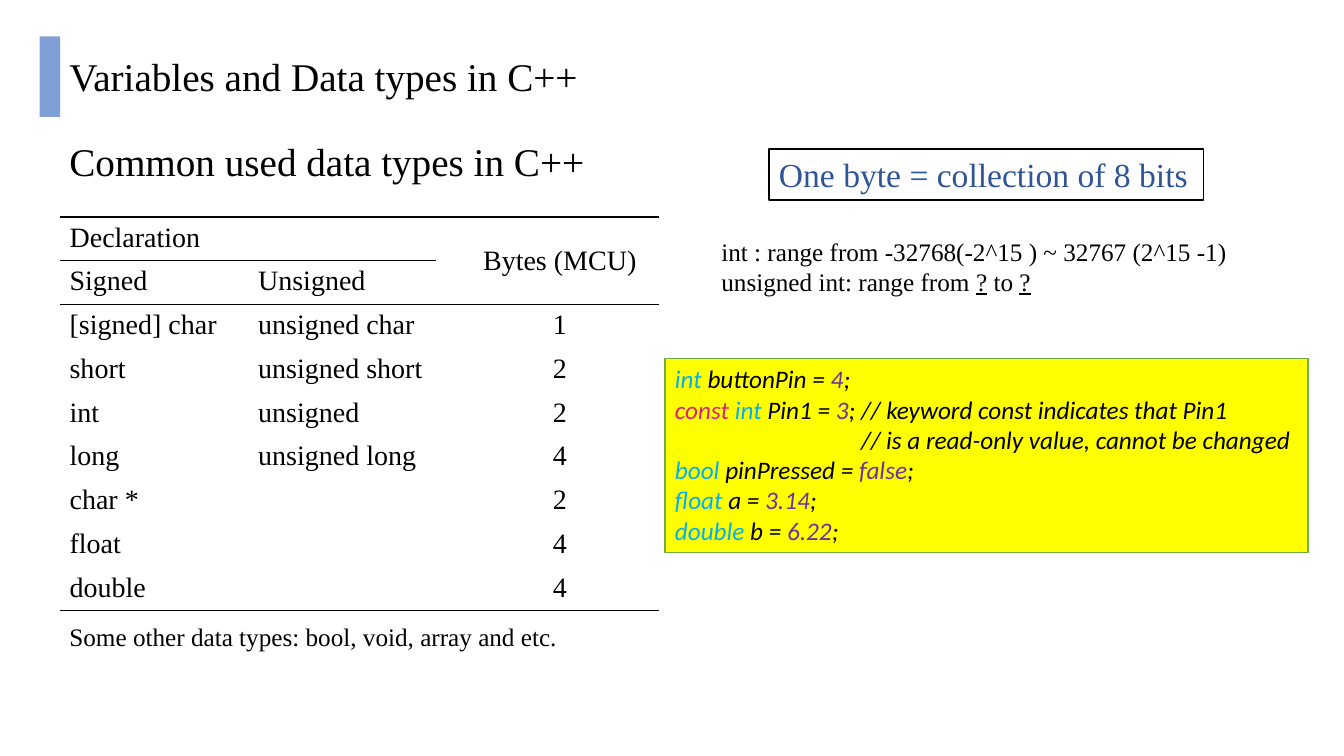
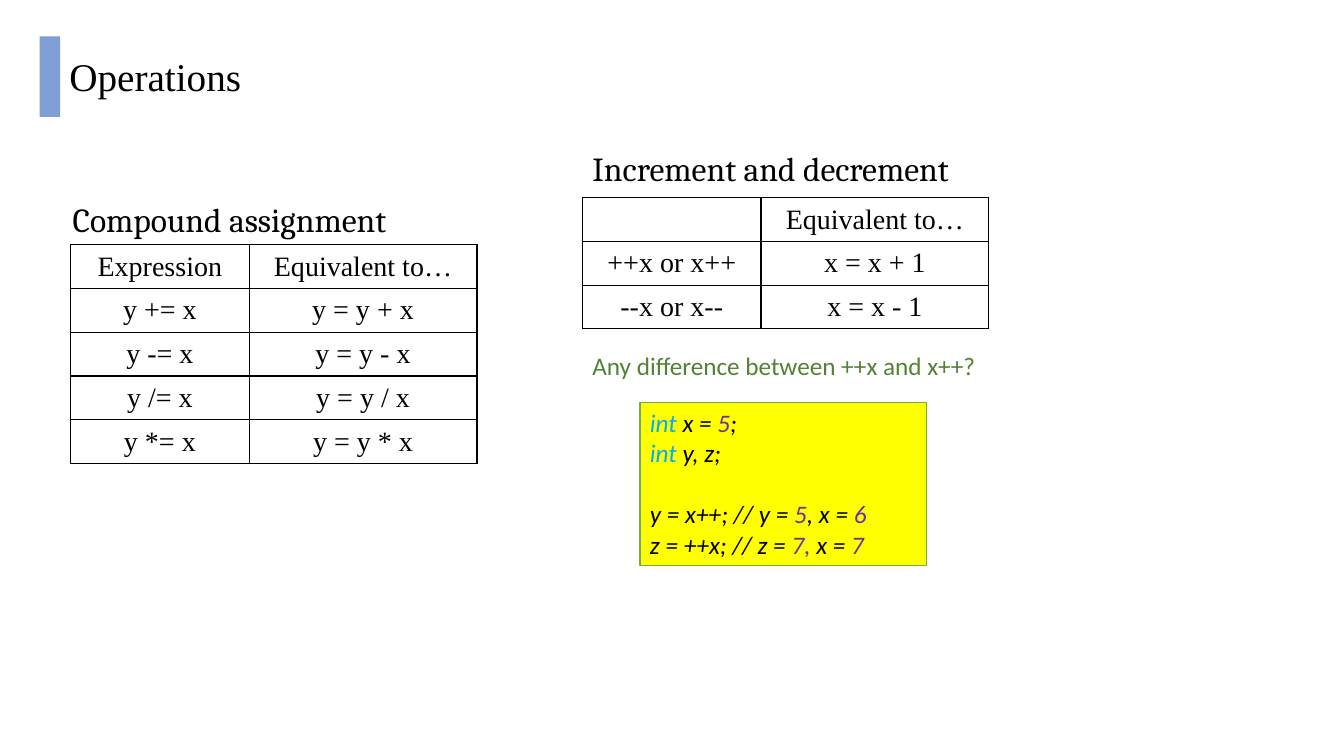
from lxml import etree
from pptx import Presentation
from pptx.dml.color import RGBColor
from pptx.enum.shapes import MSO_SHAPE
from pptx.enum.text import MSO_ANCHOR, PP_ALIGN
from pptx.oxml.ns import qn
from pptx.util import Cm, Pt

RECTANGLE = MSO_SHAPE.RECTANGLE
TOP, MIDDLE = MSO_ANCHOR.TOP, MSO_ANCHOR.MIDDLE
LEFT, CENTER = PP_ALIGN.LEFT, PP_ALIGN.CENTER

# Colours
BLACK = RGBColor(0x00, 0x00, 0x00)
WHITE = RGBColor(0xFF, 0xFF, 0xFF)
BAR_BLUE = RGBColor(0x44, 0x72, 0xC4)
NOTE_BLUE = RGBColor(0x2F, 0x55, 0x97)
QUESTION_GREEN = RGBColor(0x54, 0x82, 0x35)
CODE_YELLOW = RGBColor(0xFF, 0xFF, 0x00)
CODE_BORDER = RGBColor(0x70, 0xAD, 0x47)
TYPE = RGBColor(0x00, 0xB0, 0xF0)
VALUE = RGBColor(0x70, 0x30, 0xA0)
KEYWORD = RGBColor(0xDC, 0x23, 0x77)

# Fonts and other styles
SERIF, HEADING, SANS = "Times New Roman", "Cambria", "Calibri"
UNDERLINE = "underline"
PLAIN_TABLE = "{2D5ABB26-0587-4C30-8999-92F81FD0307C}"
ROW_HEIGHT = 1.1


def write(frame, *lines, font=SERIF, size=18, color=BLACK, italic=False,
          align=LEFT, anchor=TOP, indents=None, gaps=None):
    """Each line is a string, or a list of strings and (string, style) runs."""
    frame.word_wrap = True
    frame.vertical_anchor = anchor
    for number, line in enumerate(lines):
        paragraph = frame.paragraphs[0] if number == 0 else frame.add_paragraph()
        paragraph.alignment = align
        if number in (indents or {}):
            paragraph._p.get_or_add_pPr().set("marL", str(Cm(indents[number])))
        if number in (gaps or {}):
            paragraph.space_before = Pt(gaps[number])
        for part in [line] if isinstance(line, str) else line:
            text, style = (part, color) if isinstance(part, str) else part
            run = paragraph.add_run()
            run.text = text
            run.font.name, run.font.size, run.font.italic = font, Pt(size), italic
            run.font.underline = style == UNDERLINE
            run.font.color.rgb = color if style == UNDERLINE else style


def add_plain_table(slide, left, top, widths, rows, borders, align, anchor):
    """borders[row][column] names the edges to draw, in the order L R T B."""
    table = slide.shapes.add_table(
        len(rows), len(widths), Cm(left), Cm(top),
        Cm(sum(widths)), Cm(ROW_HEIGHT * len(rows))).table
    table.first_row = table.horz_banding = False
    table._tbl.tblPr.find(qn("a:tableStyleId")).text = PLAIN_TABLE
    for column, width in zip(table.columns, widths):
        column.width = Cm(width)
    for r, row in enumerate(rows):
        table.rows[r].height = Cm(ROW_HEIGHT)
        for c, text in enumerate(row):
            cell = table.cell(r, c)
            properties = cell._tc.get_or_add_tcPr()
            for edge in borders[r][c]:
                line = etree.SubElement(properties, qn(f"a:ln{edge}"), w=str(Pt(1)))
                ink = etree.SubElement(line, qn("a:solidFill"))
                etree.SubElement(ink, qn("a:srgbClr"), val=str(BLACK))
            cell.fill.background()
            if text:
                write(cell.text_frame, text, size=20, align=align[c])
            cell.vertical_anchor = anchor
    return table


prs = Presentation()
prs.slide_width, prs.slide_height = Cm(33.87), Cm(19.05)
blank = prs.slide_layouts[6]

# Slides with their title and side bar
slides = []
for title in ("Variables and Data types in C++", "Operations"):
    slide = prs.slides.add_slide(blank)
    bar = slide.shapes.add_shape(RECTANGLE, Cm(1), Cm(0.92), Cm(0.52), Cm(2.03))
    bar.shadow.inherit = False
    bar.line.fill.background()
    bar.fill.solid()
    bar.fill.fore_color.rgb = BAR_BLUE
    bar_color = bar._element.spPr.find(qn("a:solidFill"))[0]
    etree.SubElement(bar_color, qn("a:alpha"), val="68000")
    heading = slide.shapes.add_textbox(Cm(1.5), Cm(1.2), Cm(16), Cm(1.45))
    write(heading.text_frame, title, size=28)
    slides.append(slide)
types_slide, operations_slide = slides

# Data type table
type_rows = [
    ("Declaration", "", "", "Bytes (MCU)"),
    ("Signed", "Unsigned", "", ""),
    ("[signed] char", "unsigned char", "", "1"),
    ("short", "unsigned short", "", "2"),
    ("int", "unsigned", "", "2"),
    ("long", "unsigned long", "", "4"),
    ("char *", "", "", "2"),
    ("float", "", "", "4"),
    ("double", "", "", "4"),
]
ruled, unruled = ["B"] * 4, [""] * 4
type_borders = [["TB", "TB", "T", "TB"], ruled, *[unruled] * 6, ruled]
types = add_plain_table(types_slide, 1.5, 5.47, (4.75, 4.75, 0.6, 5), type_rows,
                        type_borders, (LEFT, LEFT, LEFT, CENTER), TOP)
types.cell(0, 3).merge(types.cell(1, 3))
types.cell(0, 3).vertical_anchor = MIDDLE

# Operator tables
operator_tables = [
    (1.78, 6.17, [("Expression", "Equivalent to…"),
                  ("y += x", "y = y + x"),
                  ("y -= x", "y = y - x"),
                  ("y /= x", "y = y / x"),
                  ("y *= x", "y = y * x")]),
    (14.68, 4.98, [("", "Equivalent to…"),
                   ("++x or x++", "x = x + 1"),
                   ("--x or x--", "x = x - 1")]),
]
for left, top, rows in operator_tables:
    add_plain_table(operations_slide, left, top, (4.5, 5.74), rows,
                    [["LRTB"] * 2] * len(rows), (CENTER, CENTER), MIDDLE)

# Headings and remarks: slide, position and size, lines, format
remarks = [
    (types_slide, (1.5, 3.33, 21.64, 1.45), ["Common used data types in C++"],
     dict(size=28)),
    (types_slide, (1.5, 15.54, 13.46, 1.03),
     ["Some other data types: bool, void, array and etc."], {}),
    (types_slide, (17.93, 5.82, 14.7, 2.57),
     ["int : range from -32768(-2^15 ) ~ 32767 (2^15 -1)",
      ["unsigned int: range from ", ("?", UNDERLINE), " to ", ("?", UNDERLINE)]], {}),
    (operations_slide, (1.58, 4.9, 10.16, 1.28), ["Compound assignment"],
     dict(font=HEADING, size=24)),
    (operations_slide, (14.68, 3.6, 10.16, 1.28), ["Increment and decrement"],
     dict(font=HEADING, size=24)),
    (operations_slide, (14.68, 8.71, 11.45, 1.03),
     ["Any difference between ++x and x++?"],
     dict(font=SANS, color=QUESTION_GREEN)),
]
for slide, area, lines, style in remarks:
    remark = slide.shapes.add_textbox(*map(Cm, area))
    write(remark.text_frame, *lines, **style)

# Framed note and code samples
code_style = dict(font=SANS, italic=True)
declarations = [
    [("int ", TYPE), "buttonPin = ", ("4", VALUE), ";"],
    [("const ", KEYWORD), ("int", TYPE), " Pin1 = ", ("3", VALUE),
     "; // keyword const indicates that Pin1"],
    "// is a read-only value, cannot be changed",
    [("bool ", TYPE), "pinPressed = ", ("false", VALUE), ";"],
    [("float", TYPE), " a = ", ("3.14", VALUE), ";"],
    [("double", TYPE), " b = ", ("6.22", VALUE), ";"],
]
increments = [
    [("int", TYPE), " x = ", ("5", VALUE), ";"],
    [("int", TYPE), " y, z;"],
    ["y = x++; // y =", (" 5", VALUE), ", x = ", ("6", VALUE)],
    ["z = ++x; // z = ", ("7,", VALUE), " x = ", ("7", VALUE)],
]
panels = [
    (types_slide, (19.38, 3.76, 10.95, 1.28), WHITE, BLACK,
     ["One byte = collection of 8 bits"], dict(size=24, color=NOTE_BLUE)),
    (types_slide, (16.76, 9.04, 16.2, 4.88), CODE_YELLOW, CODE_BORDER,
     declarations, dict(code_style, indents={2: 4.69})),
    (operations_slide, (16.13, 10.14, 7.22, 4.11), CODE_YELLOW, CODE_BORDER,
     increments, dict(code_style, gaps={2: 22})),
]
for slide, area, fill, border, lines, style in panels:
    panel = slide.shapes.add_shape(RECTANGLE, *map(Cm, area))
    panel.shadow.inherit = False
    panel.fill.solid()
    panel.fill.fore_color.rgb = fill
    panel.line.color.rgb = border
    panel.line.width = Pt(1)
    write(panel.text_frame, *lines, **style)

prs.save("out.pptx")
